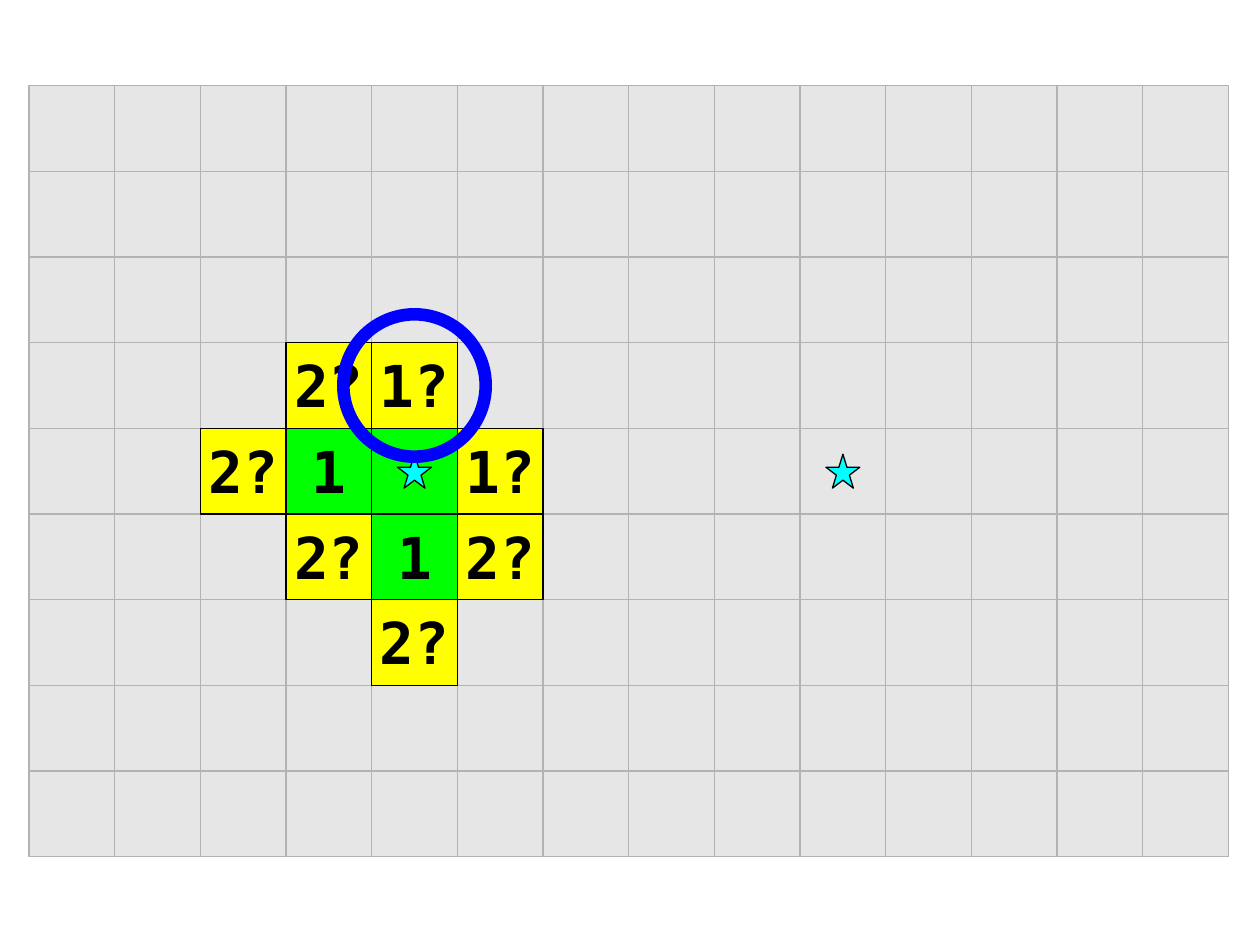
from pptx import Presentation
from pptx.dml.color import RGBColor
from pptx.enum.shapes import MSO_SHAPE
from pptx.enum.text import MSO_ANCHOR, PP_ALIGN
from pptx.util import Inches, Pt

COLS, ROWS, CELL = 14, 9, 0.68
LEFT, TOP = 0.23, 0.68
STAR, RING = 0.27, 1.13
GREEN, YELLOW = "00FF00", "FFFF00"
START, GOAL, CURRENT = (4, 4), (9, 4), (4, 3)
COSTS = {
    (4, 3): "1?", (3, 4): "1", (5, 4): "1?", (4, 5): "1", (3, 5): "2?",
    (5, 5): "2?", (4, 6): "2?", (3, 3): "2?", (2, 4): "2?",
}


def rgb(color):
    return RGBColor.from_string(color)


def add_figure(s, kind, box, fill=None, line="000000", width=0.75):
    sp = s.shapes.add_shape(kind, *(Inches(v) for v in box))
    sp.shadow.inherit = False
    if fill:
        sp.fill.solid()
        sp.fill.fore_color.rgb = rgb(fill)
    else:
        sp.fill.background()
    sp.line.color.rgb = rgb(line)
    sp.line.width = Pt(width)
    return sp


def write(sp, text, size=33, color="000000", font="DejaVu Sans Mono", bold=True):
    tf = sp.text_frame
    tf.word_wrap = False
    tf.vertical_anchor = MSO_ANCHOR.MIDDLE
    tf.margin_left = tf.margin_right = Inches(0.09)
    tf.margin_top, tf.margin_bottom = Inches(0.12), Inches(0.04)
    p = tf.paragraphs[0]
    p.alignment = PP_ALIGN.CENTER
    p.line_spacing = 0.83
    r = p.add_run()
    r.text = text
    r.font.name, r.font.size, r.font.bold = font, Pt(size), bold
    r.font.color.rgb = rgb(color)


def cell_box(origin, cell, size=CELL):
    return [o + (i + 0.5) * CELL - size / 2 for o, i in zip(origin, cell)] + [size, size]


def add_grid(s, origin):
    for row in range(ROWS):
        for col in range(COLS):
            if (col, row) != START and (col, row) not in COSTS:
                add_figure(s, MSO_SHAPE.RECTANGLE, cell_box(origin, (col, row)),
                           "E6E6E6", "B3B3B3")


def add_star(s, origin, cell):
    add_figure(s, MSO_SHAPE.STAR_5_POINT, cell_box(origin, cell, STAR), "00FFFF")


def add_search(s, origin):
    add_star(s, origin, GOAL)
    add_figure(s, MSO_SHAPE.RECTANGLE, cell_box(origin, START), GREEN)
    add_star(s, origin, START)
    for cell, cost in COSTS.items():
        fill = YELLOW if cost.endswith("?") else GREEN
        write(add_figure(s, MSO_SHAPE.RECTANGLE, cell_box(origin, cell), fill), cost)
    add_figure(s, MSO_SHAPE.OVAL, cell_box(origin, CURRENT, RING), line="0000FF", width=7.2)


def main():
    prs = Presentation()
    prs.slide_width, prs.slide_height = Inches(10), Inches(7.5)
    s = prs.slides.add_slide(prs.slide_layouts[6])
    add_grid(s, (LEFT, TOP))
    add_search(s, (LEFT, TOP))
    prs.save("out.pptx")


if __name__ == "__main__":
    main()
